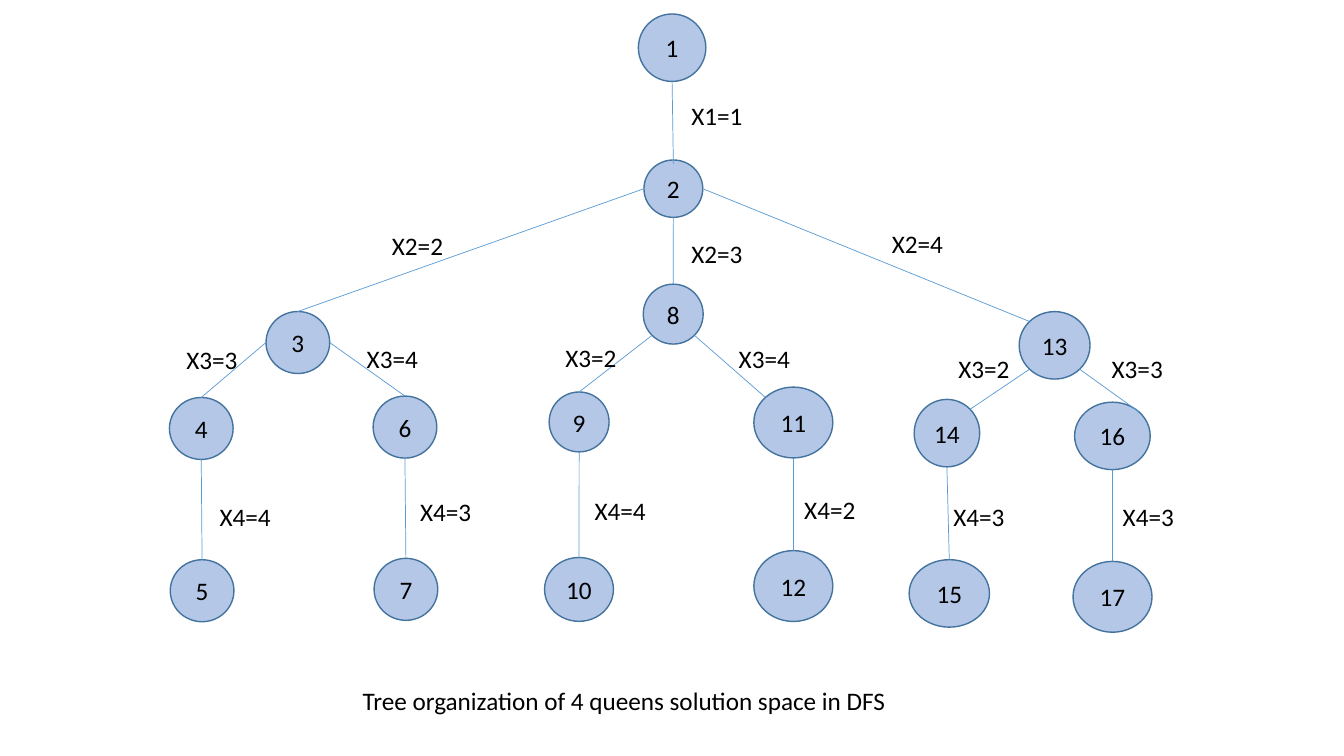
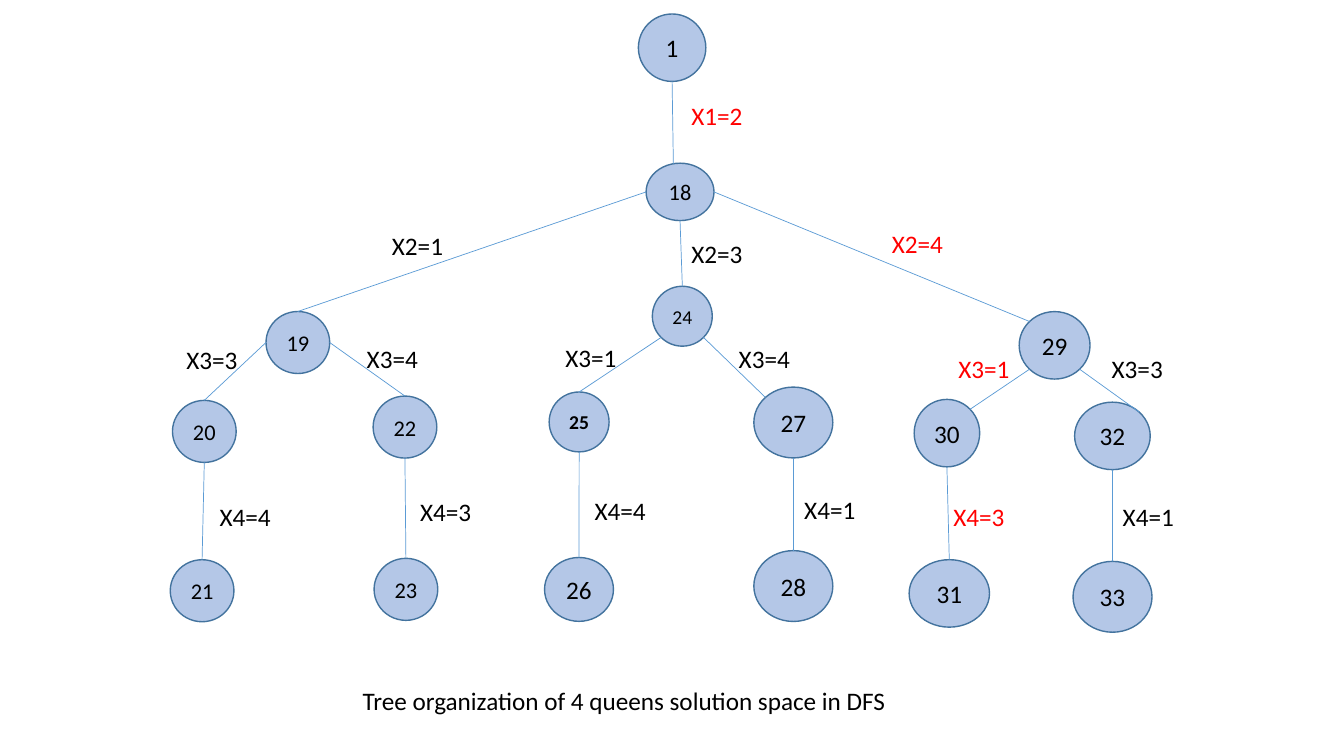
from pptx import Presentation
from pptx.dml.color import RGBColor
from pptx.enum.shapes import MSO_CONNECTOR, MSO_SHAPE
from pptx.enum.text import MSO_ANCHOR, MSO_AUTO_SIZE, PP_ALIGN
from pptx.oxml.ns import qn
from pptx.util import Pt
from lxml import etree

NODE_FILL, NODE_LINE, EDGE = "B4C7E7", "43739E", "5B9BD5"
BLACK, RED = "000000", "FF0000"
CAPTION = "Tree organization of 4 queens solution space in DFS"

# Points on an ellipse, as shares of its width and height
NEAR, FAR = 0.146, 0.854
SITES = {
    "top": (0.5, 0), "bottom": (0.5, 1), "left": (0, 0.5), "right": (1, 0.5),
    "top left": (NEAR, NEAR), "top right": (FAR, NEAR),
    "bottom left": (NEAR, FAR), "bottom right": (FAR, FAR),
}
ROOT_EDGE_END = (481, 117)

# Nodes in depth-first order: left, top, width, height
NODES = [
    (456, 10, 48.2, 48.2),
    (460, 114.3, 42, 41),
    (190, 222.5, 45.5, 44.3),
    (121, 283.9, 45.5, 44.3),
    (121.6, 399.8, 45.5, 44.3),
    (266.5, 282.9, 45.5, 44.3),
    (267.2, 398.8, 45.5, 44.3),
    (459.5, 203, 42.8, 42.8),
    (392.3, 280, 42.8, 42.8),
    (389, 398.2, 49.2, 45.6),
    (538.5, 276.5, 56.4, 50.6),
    (538.5, 393.3, 56.4, 50.6),
    (728, 222.6, 50.6, 48.2),
    (653, 285.3, 46.8, 48.2),
    (649.4, 399.8, 57.4, 48.2),
    (767.6, 287.3, 54, 48.2),
    (766.5, 401, 56.4, 50.6),
]

# Edges by child, from the second node on:
# parent index, site on parent, site on child, label left, label top
EDGES = [
    (0, "bottom", "top", 486.7, 68.4),
    (1, "left", "top", 272.9, 160.8),
    (2, "left", "top", 126, 242.2),
    (3, "bottom", "top", 149.8, 354.5),
    (2, "right", "top", 254.9, 241.9),
    (5, "bottom", "top", 293, 351.2),
    (1, "bottom", "top", 486.7, 167),
    (7, "bottom left", "top", 396.7, 240.7),
    (8, "bottom", "top", 417.6, 350.4),
    (7, "bottom right", "top left", 520.6, 241.4),
    (10, "bottom", "top", 567.4, 349.4),
    (1, "right", "top left", 630, 159.6),
    (12, "bottom left", "top right", 677.5, 249),
    (13, "bottom", "top", 673.9, 354.5),
    (12, "bottom right", "top right", 787, 249),
    (15, "bottom", "top", 794.9, 354.7),
]

TREES = [
    {
        "first_child": 2,
        "values": [1, 2, 3, 4, 4, 3, 3, 2, 4, 4, 2, 4, 2, 3, 3, 3],
        "moved": {}, "sizes": {}, "bold": set(), "solution": set(),
    },
    {
        "first_child": 18,
        "values": [2, 1, 3, 4, 4, 3, 3, 1, 4, 4, 1, 4, 1, 3, 3, 1],
        "moved": {1: (461.5, 116.6, 48.5, 41), 3: (123.2, 286, 45.5, 44.3),
                  7: (466, 204.5, 42.8, 42.8)},
        "sizes": {**dict.fromkeys(range(1, 7), 16), 7: 14, 8: 14},
        "bold": {8},
        "solution": {1, 12, 13, 14},
    },
]


def rgb(value):
    return RGBColor.from_string(value)


def write(shape, text, size=18, color=BLACK, bold=None):
    """Put one unwrapped run into the shape and return its paragraph."""
    shape.text_frame.word_wrap = False
    paragraph = shape.text_frame.paragraphs[0]
    run = paragraph.add_run()
    run.text = text
    run.font.name = "Calibri"
    run.font.size = Pt(size)
    run.font.bold = bold
    run.font.color.rgb = rgb(color)
    return paragraph


prs = Presentation()
prs.slide_width, prs.slide_height = Pt(960), Pt(540)

for tree in TREES:
    slide = prs.slides.add_slide(prs.slide_layouts[6])
    boxes = [tree["moved"].get(i, box) for i, box in enumerate(NODES)]

    for i, box in enumerate(boxes):
        node = slide.shapes.add_shape(MSO_SHAPE.OVAL, *map(Pt, box))
        node.shadow.inherit = False
        node.fill.solid()
        node.fill.fore_color.rgb = rgb(NODE_FILL)
        node.line.color.rgb = rgb(NODE_LINE)
        node.line.width = Pt(1)
        number = tree["first_child"] + i - 1 if i else 1
        paragraph = write(node, str(number), tree["sizes"].get(i, 18),
                          bold=True if i in tree["bold"] else None)
        paragraph.alignment = PP_ALIGN.CENTER
        node.text_frame.vertical_anchor = MSO_ANCHOR.MIDDLE

    depths = [0]
    labels = [(CAPTION, 252, 486, 393, BLACK)]
    for child, (parent, start_site, end_site, left, top) in enumerate(EDGES, 1):
        depths.append(depths[parent] + 1)
        ends = []
        for index, site in ((parent, start_site), (child, end_site)):
            x, y, width, height = boxes[index]
            across, down = SITES[site]
            ends.append((x + across * width, y + down * height))
        if parent == 0:
            ends[1] = ROOT_EDGE_END
        edge = slide.shapes.add_connector(
            MSO_CONNECTOR.STRAIGHT, *map(Pt, ends[0] + ends[1]))
        edge.line.color.rgb = rgb(EDGE)
        edge.line.width = Pt(0.5)
        etree.SubElement(edge._element.spPr, qn("a:effectLst"))
        color = RED if child in tree["solution"] else BLACK
        text = f"X{depths[child]}={tree['values'][child - 1]}"
        labels.append((text, left, top, 52, color))

    for text, left, top, width, color in labels:
        label = slide.shapes.add_textbox(Pt(left), Pt(top), Pt(width), Pt(29))
        label.text_frame.auto_size = MSO_AUTO_SIZE.SHAPE_TO_FIT_TEXT
        write(label, text, color=color)

prs.save("out.pptx")
